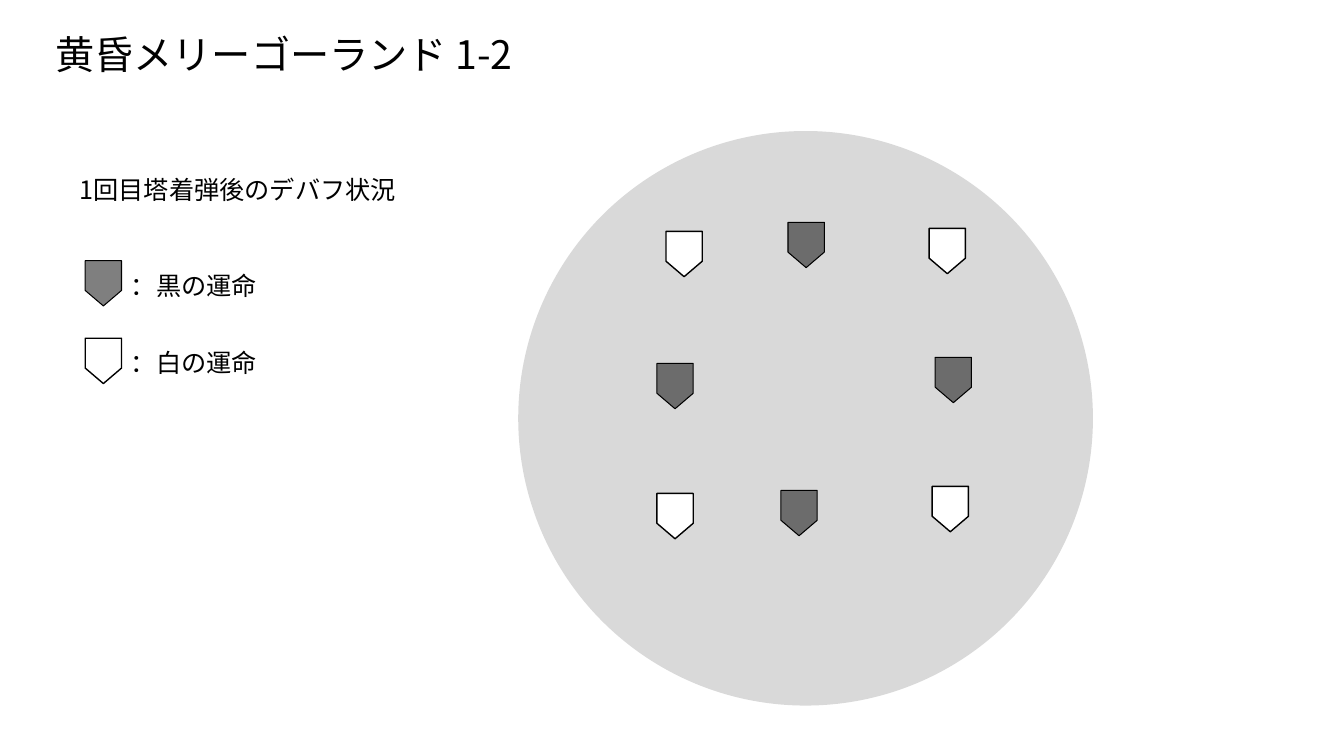
from lxml import etree
from pptx import Presentation
from pptx.dml.color import RGBColor
from pptx.enum.shapes import MSO_SHAPE
from pptx.enum.text import MSO_ANCHOR
from pptx.oxml.ns import qn
from pptx.util import Inches, Pt

FONT = "Noto Sans CJK SC"
COLORS = {"black": "000000", "white": "FFFFFF", "arena": "D9D9D9"}
MARKER_WIDTH, MARKER_HEIGHT = 0.45, 0.36

# Left and top of each marker on the arena, before rotation
WHITE_MARKERS = [(6.56, 2.34), (9.17, 2.31), (6.47, 4.94), (9.2, 4.87)]
BLACK_MARKERS = [(7.77, 2.25), (6.47, 3.65), (9.23, 3.59), (7.7, 4.91)]


def color(name):
    return RGBColor.from_string(COLORS[name])


def add_text(slide, text, left, top, width, height, size):
    box = slide.shapes.add_textbox(Inches(left), Inches(top), Inches(width), Inches(height))
    frame = box.text_frame
    frame.word_wrap = True
    frame.vertical_anchor = MSO_ANCHOR.TOP
    paragraph = frame.paragraphs[0]
    paragraph.text = text
    paragraph.font.size = Pt(size)
    paragraph.font.name = FONT
    paragraph.font.color.rgb = color("black")
    # East Asian typeface
    properties = paragraph.font._element
    etree.SubElement(properties, qn("a:ea"), typeface=FONT)
    return paragraph


def add_filled_shape(slide, kind, left, top, width, height, fill):
    shape = slide.shapes.add_shape(kind, Inches(left), Inches(top), Inches(width), Inches(height))
    shape.shadow.inherit = False
    shape.fill.solid()
    shape.fill.fore_color.rgb = color(fill)
    shape.line.fill.background()
    return shape


def add_marker(slide, left, top, fill):
    marker = add_filled_shape(slide, MSO_SHAPE.PENTAGON, left, top, MARKER_WIDTH, MARKER_HEIGHT, fill)
    marker.rotation = 90
    marker.adjustments[0] = 0.426
    marker.line.color.rgb = color("black")
    marker.line.width = Pt(1)
    if fill == "black":
        marker.line.width = Pt(0.75)
        # Half-transparent fill
        fill_color = marker.fill._xPr.find(qn("a:solidFill"))[0]
        etree.SubElement(fill_color, qn("a:alpha"), val="50000")


def add_legend_entry(slide, top, fill, label):
    add_marker(slide, 0.8, top, fill)
    add_text(slide, label, 1.2, top, 3.65, 0.4, 18)


def main():
    presentation = Presentation()
    presentation.slide_width = Inches(13.33)
    presentation.slide_height = Inches(7.5)
    slide = presentation.slides.add_slide(presentation.slide_layouts[6])

    # Title
    title = add_text(slide, "黄昏メリーゴーランド 1-2", 0.45, 0.3, 12.42, 0.84, 28)
    title.line_spacing = 0.9

    # Arena
    add_filled_shape(slide, MSO_SHAPE.OVAL, 5.14, 1.3, 5.7, 5.7, "arena")

    # Legend
    add_text(slide, "1回目塔着弾後のデバフ状況", 0.69, 1.68, 3.65, 0.4, 18)
    add_legend_entry(slide, 2.63, "black", "：黒の運命")
    add_legend_entry(slide, 3.4, "white", "：白の運命")

    # Markers on the arena
    for fill, positions in (("white", WHITE_MARKERS), ("black", BLACK_MARKERS)):
        for left, top in positions:
            add_marker(slide, left, top, fill)

    presentation.save("out.pptx")


if __name__ == "__main__":
    main()
